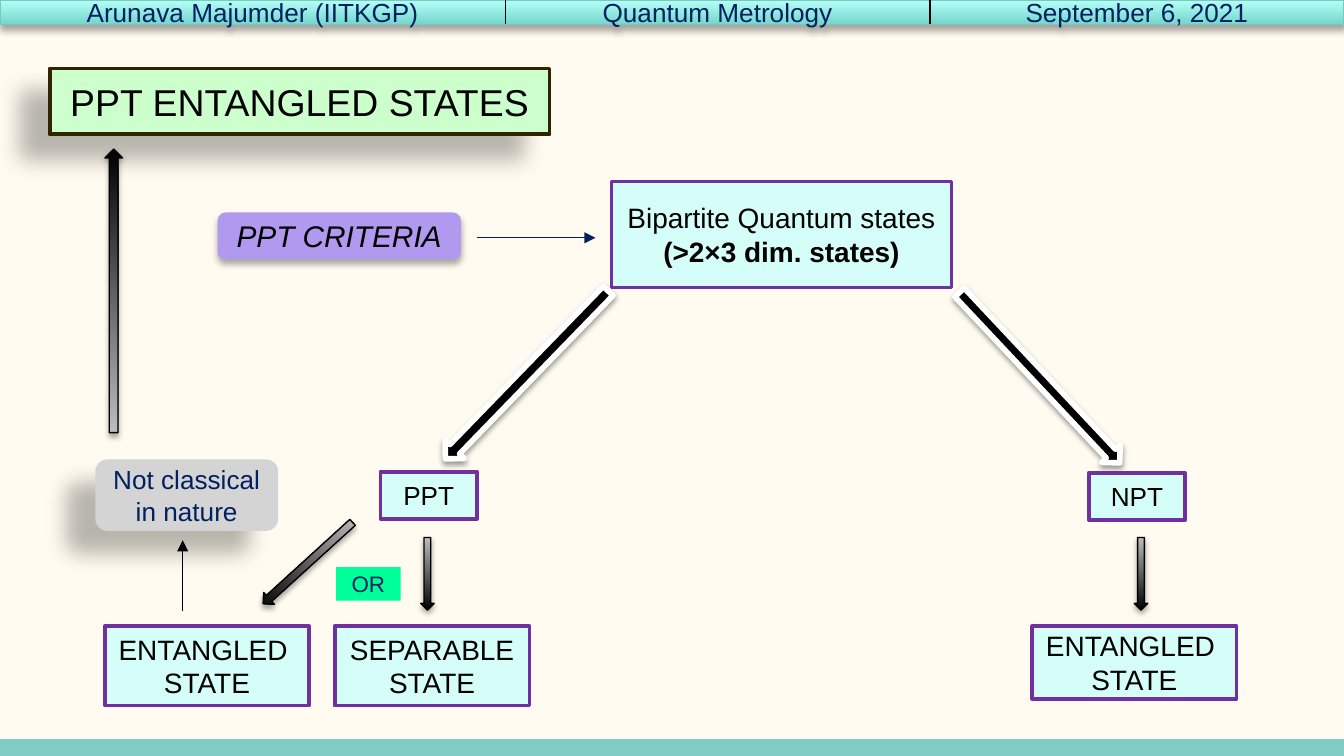
from lxml.etree import SubElement
from pptx import Presentation
from pptx.dml.color import RGBColor
from pptx.enum.shapes import MSO_CONNECTOR, MSO_SHAPE
from pptx.enum.text import MSO_ANCHOR, PP_ALIGN
from pptx.oxml.ns import qn
from pptx.util import Pt

COLORS = {
    "background": "FFFBF0", "black": "000000", "white": "FFFFFF", "navy": "002060",
    "title": "CCFFCC", "title_border": "322400", "criteria": "B099EF",
    "state": "D6FEF9", "state_border": "7030A0", "or": "00FF99", "note": "D4D4D4",
    "arrow_end": "BDBDBD", "bar_dark": "75D6CD", "bar_light": "B4FFF7",
    "bar_border": "7BC8C1", "footer": "80CBC4",
}
# Shadows: opacity in percent, blur and distance in points, direction in degrees
FAR_SHADOW = (28, 11.8, 19.7, 141)
LABEL_SHADOW = (32, 3.5, 2.2, 90)
ARROW_SHADOW = (38, 3.1, 1.6, 90)
SOFT_SHADOW = (35, 3.1, 1.8, 90)


def rgb(name):
    return RGBColor.from_string(COLORS[name])


class SlideBuilder:
    font = "Arial"

    def __init__(self, slide):
        self.slide = slide
        slide.background.fill.solid()
        slide.background.fill.fore_color.rgb = rgb("background")

    def shape(self, box, fill, border=None, width=2, shadow=None,
              kind=MSO_SHAPE.RECTANGLE, rotation=0):
        """Add a preset shape; a pair of fill colours runs from bottom to top."""
        shape = self.slide.shapes.add_shape(kind, *map(Pt, box))
        shape.rotation = rotation
        if isinstance(fill, tuple):
            shape.fill.gradient()
            shape.fill.gradient_angle = 90
            for stop, color in zip(shape.fill.gradient_stops, fill):
                stop.color.rgb = rgb(color)
        else:
            shape.fill.solid()
            shape.fill.fore_color.rgb = rgb(fill)
        if border:
            shape.line.color.rgb = rgb(border)
            shape.line.width = Pt(width)
        else:
            shape.line.fill.background()
        shape.shadow.inherit = False
        if shadow:
            self.add_shadow(shape, *shadow)
        return shape

    def add_shadow(self, shape, opacity, blur, distance, direction):
        effects = shape._element.spPr.find(qn("a:effectLst"))
        outer = SubElement(effects, qn("a:outerShdw"), blurRad=str(Pt(blur)),
                           dist=str(Pt(distance)), dir=str(direction * 60000),
                           rotWithShape="0")
        color = SubElement(outer, qn("a:srgbClr"), val=COLORS["black"])
        SubElement(color, qn("a:alpha"), val=str(opacity * 1000))

    def label(self, shape, text, size, color="black", align=PP_ALIGN.CENTER):
        frame = shape.text_frame
        frame.word_wrap = True
        frame.vertical_anchor = MSO_ANCHOR.MIDDLE
        frame.text = text
        for paragraph in frame.paragraphs:
            paragraph.alignment = align
            for run in paragraph.runs:
                run.font.name = self.font
                run.font.size = Pt(size)
                run.font.color.rgb = rgb(color)
        return frame

    def state(self, box, text, size=15):
        return self.label(self.shape(box, "state", "state_border"), text, size)

    def branch_arrow(self, box, rotation):
        self.shape(box, "black", "white", 3, ARROW_SHADOW, MSO_SHAPE.DOWN_ARROW, rotation)

    def gradient_arrow(self, box, rotation=0):
        self.shape(box, ("black", "arrow_end"), "black", 0.75, SOFT_SHADOW,
                   MSO_SHAPE.DOWN_ARROW, rotation)

    def line(self, start, end, color="black", arrow=False):
        connector = self.slide.shapes.add_connector(
            MSO_CONNECTOR.STRAIGHT, *map(Pt, start + end))
        connector.line.color.rgb = rgb(color)
        connector.line.width = Pt(0.75)
        properties = connector._element.spPr
        if arrow:
            SubElement(properties.find(qn("a:ln")), qn("a:tailEnd"), type="triangle")
        SubElement(properties, qn("a:effectLst"))

    def header(self, labels, edges, height):
        """Centre each label between neighbouring edges, with dividers at inner edges."""
        bar = self.shape((0, 0, edges[-1], height), ("bar_dark", "bar_light"),
                         "bar_border", 0.75, SOFT_SHADOW)
        frame = self.label(bar, "".join("\t" + label for label in labels), 14,
                           "navy", PP_ALIGN.LEFT)
        frame.margin_left = frame.margin_right = frame.margin_top = frame.margin_bottom = 0
        tabs = SubElement(frame.paragraphs[0]._p.get_or_add_pPr(), qn("a:tabLst"))
        for left, right in zip(edges, edges[1:]):
            SubElement(tabs, qn("a:tab"), pos=str(Pt((left + right) / 2)), algn="ctr")
        for x in edges[1:-1]:
            self.line((x, 0), (x, height))


def main():
    presentation = Presentation()
    presentation.slide_width, presentation.slide_height = Pt(720), Pt(405)
    builder = SlideBuilder(presentation.slides.add_slide(presentation.slide_layouts[6]))

    title = builder.shape((26.6, 36.7, 267.8, 35.3), "title", "title_border",
                          shadow=FAR_SHADOW)
    builder.label(title, "PPT ENTANGLED STATES", 20)
    criteria = builder.shape((116.6, 113.8, 130.3, 25.2), "criteria",
                             shadow=LABEL_SHADOW, kind=MSO_SHAPE.ROUNDED_RECTANGLE)
    frame = builder.label(criteria, "PPT CRITERIA", 16)
    frame.paragraphs[0].runs[0].font.italic = True

    frame = builder.state((327.6, 97.2, 182.2, 56.9),
                          "Bipartite Quantum states\n(>2×3 dim. states)")
    frame.paragraphs[1].runs[0].font.bold = True
    builder.line((255.6, 127.4), (319, 127.4), "navy", arrow=True)
    builder.branch_arrow((275, 138.2, 14.4, 125.3), 44.1)
    builder.branch_arrow((550.1, 139.7, 13.7, 125.3), 316.8)

    builder.state((203.8, 252.7, 51.8, 25.2), "PPT", 14)
    builder.state((583.2, 253.4, 51.8, 25.2), "NPT", 14)
    for left, width, height, kind in ((553, 109.4, 38.9, "ENTANGLED"),
                                      (179.3, 104.4, 42.5, "SEPARABLE"),
                                      (56.2, 109.4, 42.5, "ENTANGLED")):
        builder.state((left, 335.5, width, height), f"{kind} \nSTATE")

    builder.label(builder.shape((180, 303.8, 34.6, 18), "or"), "OR", 12, "navy")
    builder.line((97.9, 327.6), (97.9, 289.4), arrow=True)
    note = builder.shape((51.1, 246.2, 97.9, 38.2), "note", shadow=FAR_SHADOW,
                         kind=MSO_SHAPE.ROUNDED_RECTANGLE)
    builder.label(note, "Not classical in nature", 14, "navy")

    builder.gradient_arrow((56.2, 79.9, 9.4, 151.9), 180)
    for left in (607.7, 225.4):
        builder.gradient_arrow((left, 288, 7.2, 38.9))
    builder.gradient_arrow((160.6, 269.3, 8.6, 64.8), 47.7)

    builder.header(("Arunava Majumder (IITKGP)", "Quantum Metrology", "September 6, 2021"),
                   (0, 270.7, 498.2, 720), 13)
    builder.shape((0, 396, 720, 9), "footer")
    presentation.save("out.pptx")


if __name__ == "__main__":
    main()
